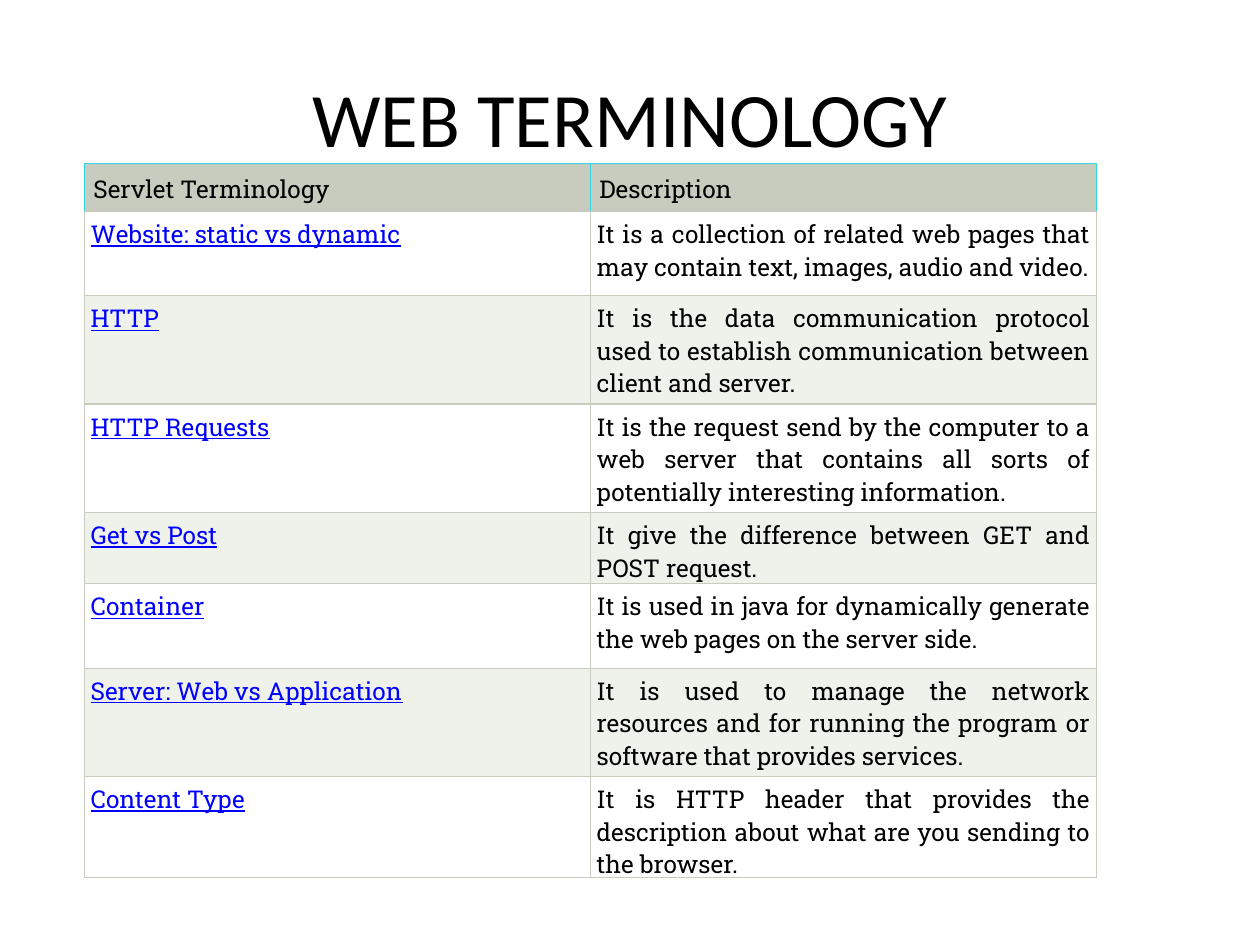
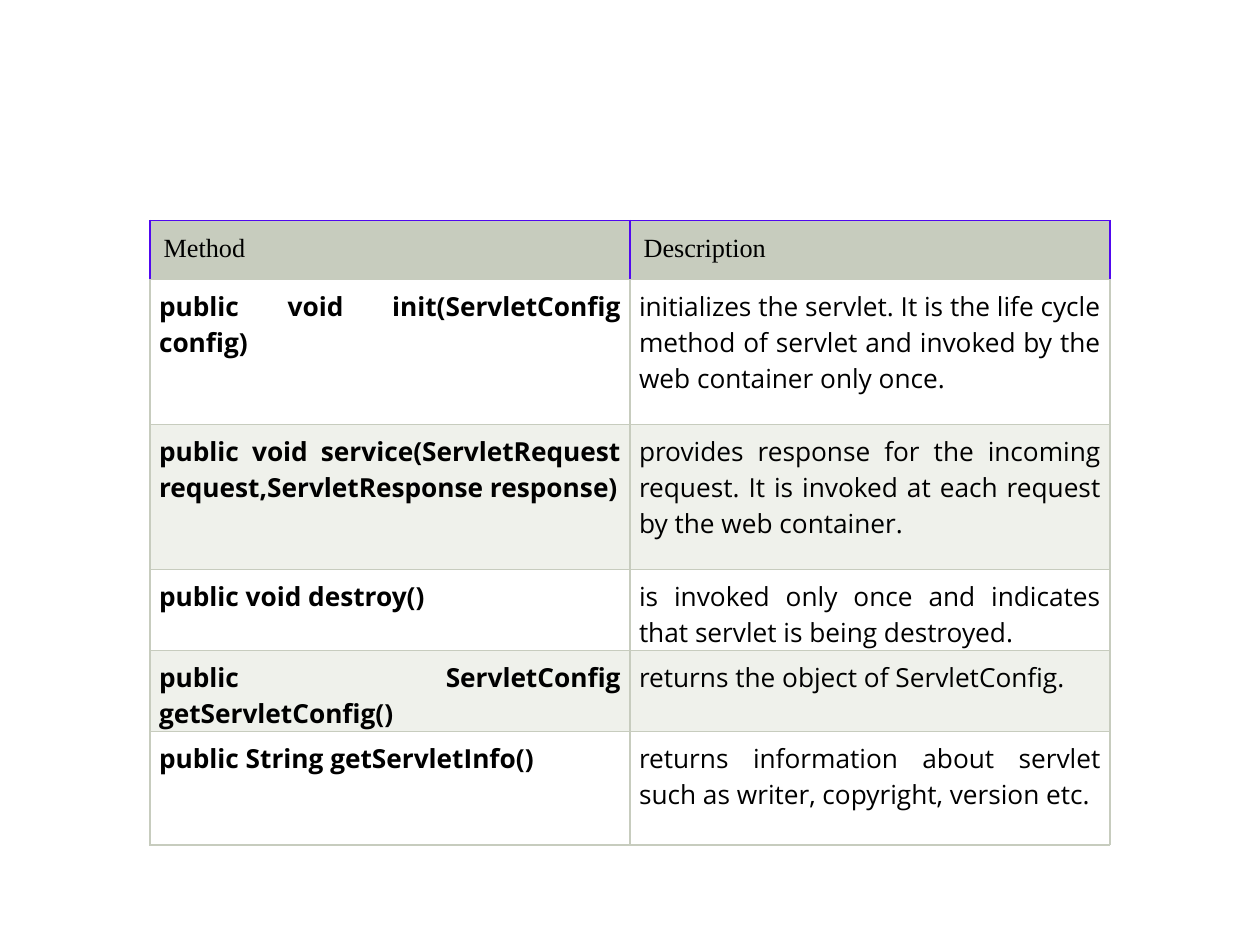
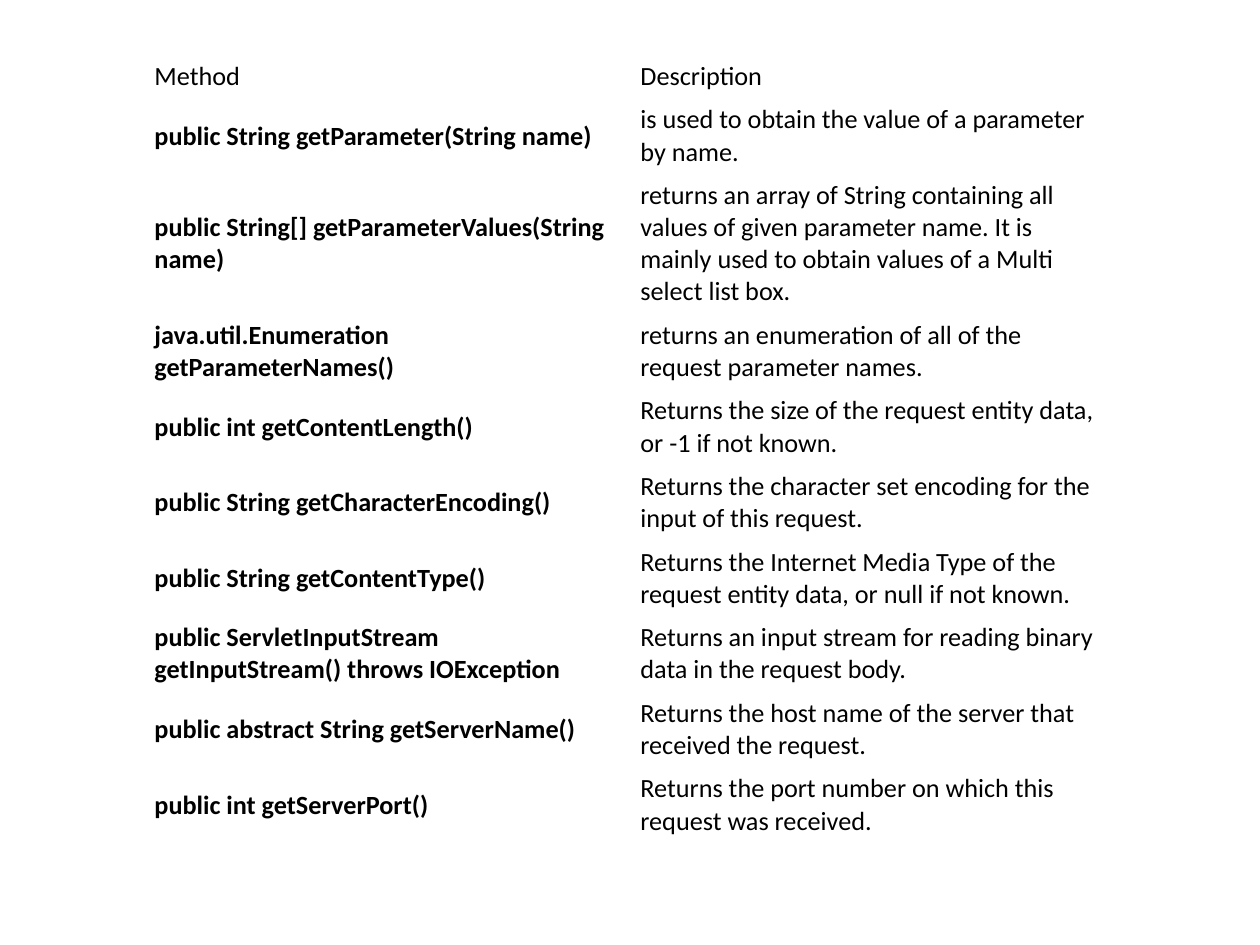
from lxml import etree
from pptx import Presentation
from pptx.dml.color import RGBColor
from pptx.enum.text import MSO_ANCHOR, PP_ALIGN
from pptx.oxml.ns import qn
from pptx.util import Pt

LEFT, CENTER, JUSTIFY = PP_ALIGN.LEFT, PP_ALIGN.CENTER, PP_ALIGN.JUSTIFY
TOP, MIDDLE = MSO_ANCHOR.TOP, MSO_ANCHOR.MIDDLE

BLACK = RGBColor(0x00, 0x00, 0x00)
WHITE = RGBColor(0xFF, 0xFF, 0xFF)
SAGE = RGBColor(0xC7, 0xCC, 0xBE)
PALE_SAGE = RGBColor(0xEF, 0xF1, 0xEB)
LINK_BLUE = RGBColor(0x00, 0x00, 0xFF)
CYAN = RGBColor(0x30, 0xD6, 0xE3)
VIOLET = RGBColor(0x50, 0x08, 0xF0)

PLAIN_STYLE = "{2D5ABB26-0587-4C30-8999-92F81FD0307C}"
BORDER_WIDTH = 0.75
SLIDE_SIZE = (720, 540)

TITLE = "WEB TERMINOLOGY"
TITLE_PLACE = (36, 21.6, 648, 90)

TERMS = [
    ("Servlet Terminology", "Description"),
    ("Website: static vs dynamic",
     "It is a collection of related web pages that may contain text, images, audio and video."),
    ("HTTP",
     "It is the data communication protocol used to establish communication between client and server."),
    ("HTTP Requests",
     "It is the request send by the computer to a web server that contains all sorts of "
     "potentially interesting information."),
    ("Get vs Post", "It give the difference between GET and POST request."),
    ("Container", "It is used in java for dynamically generate the web pages on the server side."),
    ("Server: Web vs Application",
     "It is used to manage the network resources and for running the program or software "
     "that provides services."),
    ("Content Type",
     "It is HTTP header that provides the description about what are you sending to the browser."),
]

SERVLET_METHODS = [
    ("Method", "Description"),
    ("public void init(ServletConfig config)",
     "initializes the servlet. It is the life cycle method of servlet and invoked by the "
     "web container only once."),
    ("public void service(ServletRequest request,ServletResponse response)",
     "provides response for the incoming request. It is invoked at each request by the web container."),
    ("public void destroy()", "is invoked only once and indicates that servlet is being destroyed."),
    ("public ServletConfig getServletConfig()", "returns the object of ServletConfig."),
    ("public String getServletInfo()",
     "returns information about servlet such as writer, copyright, version etc."),
]

REQUEST_METHODS = [
    ("Method", "Description"),
    ("public String getParameter(String name)", "is used to obtain the value of a parameter by name."),
    ("public String[] getParameterValues(String name)",
     "returns an array of String containing all values of given parameter name. It is mainly "
     "used to obtain values of a Multi select list box."),
    ("java.util.Enumeration getParameterNames()",
     "returns an enumeration of all of the request parameter names."),
    ("public int getContentLength()", "Returns the size of the request entity data, or -1 if not known."),
    ("public String getCharacterEncoding()",
     "Returns the character set encoding for the input of this request."),
    ("public String getContentType()",
     "Returns the Internet Media Type of the request entity data, or null if not known."),
    ("public ServletInputStream getInputStream() throws IOException",
     "Returns an input stream for reading binary data in the request body."),
    ("public abstract String getServerName()",
     "Returns the host name of the server that received the request."),
    ("public int getServerPort()", "Returns the port number on which this request was received."),
]

PAGES = [
    dict(title=TITLE, content=TERMS, place=(48.2, 93.6, 578.4, 425.5),
         heights=[25.2, 48.2, 61.9, 61.9, 34.6, 48.2, 61.9, 48.2],
         header=dict(size=14, font="Roboto Slab"), header_inset=(5.2, 5.2),
         body=dict(size=14, font="Roboto Slab", align=JUSTIFY), body_inset=(3.6, 3.6),
         term=dict(color=LINK_BLUE, underline=True), header_line=CYAN),
    dict(content=SERVLET_METHODS, place=(85.7, 126, 548.6, 356.4),
         heights=[33.1, 82.8, 82.8, 46.1, 46.1, 64.8],
         header=dict(size=15, font="Times New Roman"), header_inset=(7.8, 7.8),
         body=dict(size=15, font="Open Sans", align=JUSTIFY), body_inset=(5.2, 5.2),
         term=dict(bold=True), header_line=VIOLET),
    dict(content=REQUEST_METHODS, place=(82.1, 31.7, 555.4, 450.7),
         heights=[24.5, 43.2, 79.9] + [43.2] * 7,
         header=dict(size=15, font="Calibri"), header_inset=(6.2, 3.1),
         body=dict(size=15, font="Calibri"), body_inset=(6.2, 3.1),
         term=dict(bold=True), anchor=MIDDLE),
]


def write(frame, text, size, font, color=BLACK, bold=False, underline=False, align=LEFT):
    para = frame.paragraphs[0]
    para.alignment = align
    span = para.add_run()
    span.text = text
    span.font.size = Pt(size)
    span.font.name = font
    span.font.color.rgb = color
    span.font.bold = bold
    span.font.underline = underline


def draw_borders(cell, color, bottom):
    properties = cell._tc.get_or_add_tcPr()
    for side, shade in (("L", color), ("R", color), ("T", color), ("B", bottom)):
        line = etree.SubElement(properties, qn("a:ln" + side), w=str(Pt(BORDER_WIDTH)))
        fill = etree.SubElement(line, qn("a:solidFill"))
        etree.SubElement(fill, qn("a:srgbClr"), val=str(shade))


def add_title(page, text):
    box = page.shapes.add_textbox(*map(Pt, TITLE_PLACE))
    box.text_frame.word_wrap = True
    box.text_frame.vertical_anchor = MIDDLE
    write(box.text_frame, text, size=44, font="Calibri", align=CENTER)


def add_grid(page, content, place, heights, header, header_inset, body, body_inset, term,
             header_line=None, anchor=TOP):
    holder = page.shapes.add_table(len(content), 2, *map(Pt, place))
    table = holder.table
    table.first_row = table.horz_banding = False
    table._tbl.tblPr.find(qn("a:tableStyleId")).text = PLAIN_STYLE
    for row_index, (texts, height) in enumerate(zip(content, heights)):
        table.rows[row_index].height = Pt(height)
        is_header = row_index == 0
        across, down = header_inset if is_header else body_inset
        for column_index, text in enumerate(texts):
            cell = table.cell(row_index, column_index)
            cell.margin_left = cell.margin_right = Pt(across)
            cell.margin_top = cell.margin_bottom = Pt(down)
            cell.vertical_anchor = anchor
            if header_line:
                draw_borders(cell, header_line if is_header else SAGE, SAGE)
                cell.fill.solid()
                cell.fill.fore_color.rgb = SAGE if is_header else (PALE_SAGE, WHITE)[row_index % 2]
            else:
                cell.fill.background()
            extra = term if column_index == 0 and not is_header else {}
            write(cell.text_frame, text, **(header if is_header else body), **extra)
    holder.height = Pt(place[3])


deck = Presentation()
deck.slide_width, deck.slide_height = map(Pt, SLIDE_SIZE)
for settings in PAGES:
    page = deck.slides.add_slide(deck.slide_layouts[6])
    grid = dict(settings)
    title = grid.pop("title", None)
    if title:
        add_title(page, title)
    add_grid(page, **grid)
deck.save("out.pptx")
